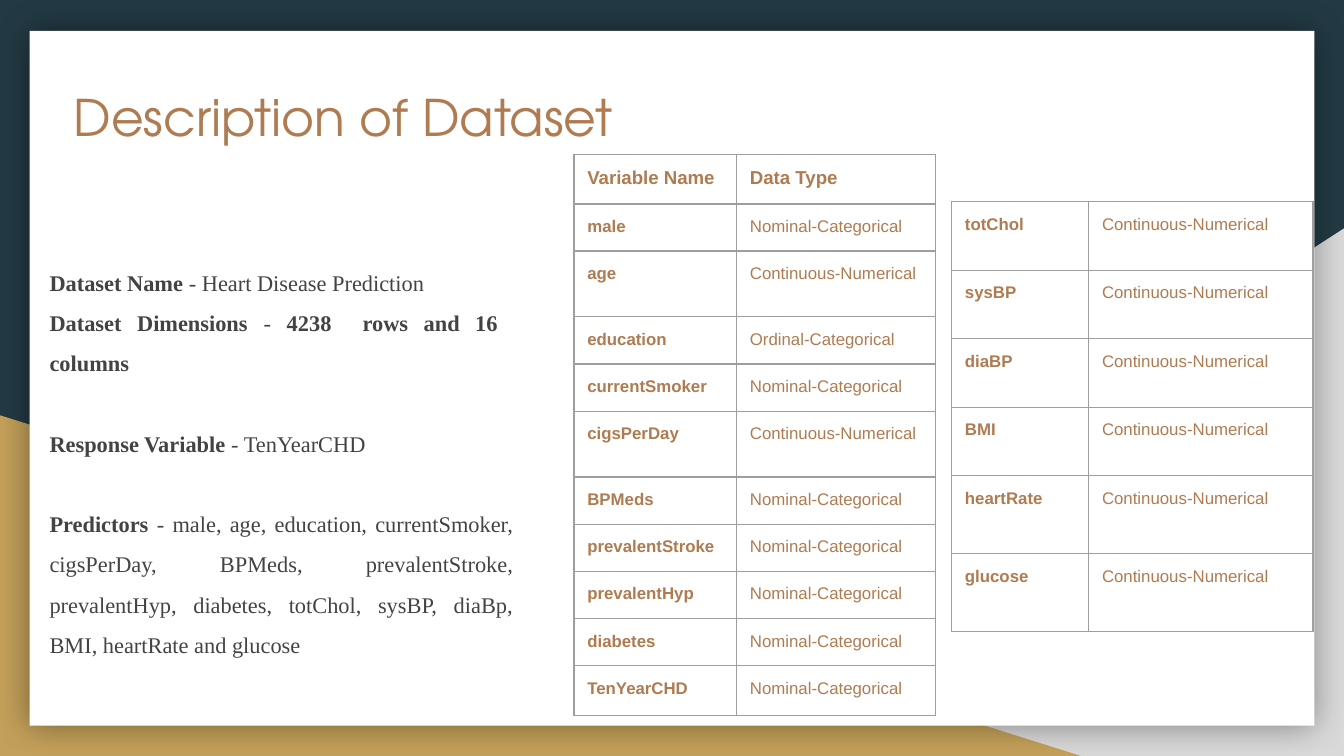
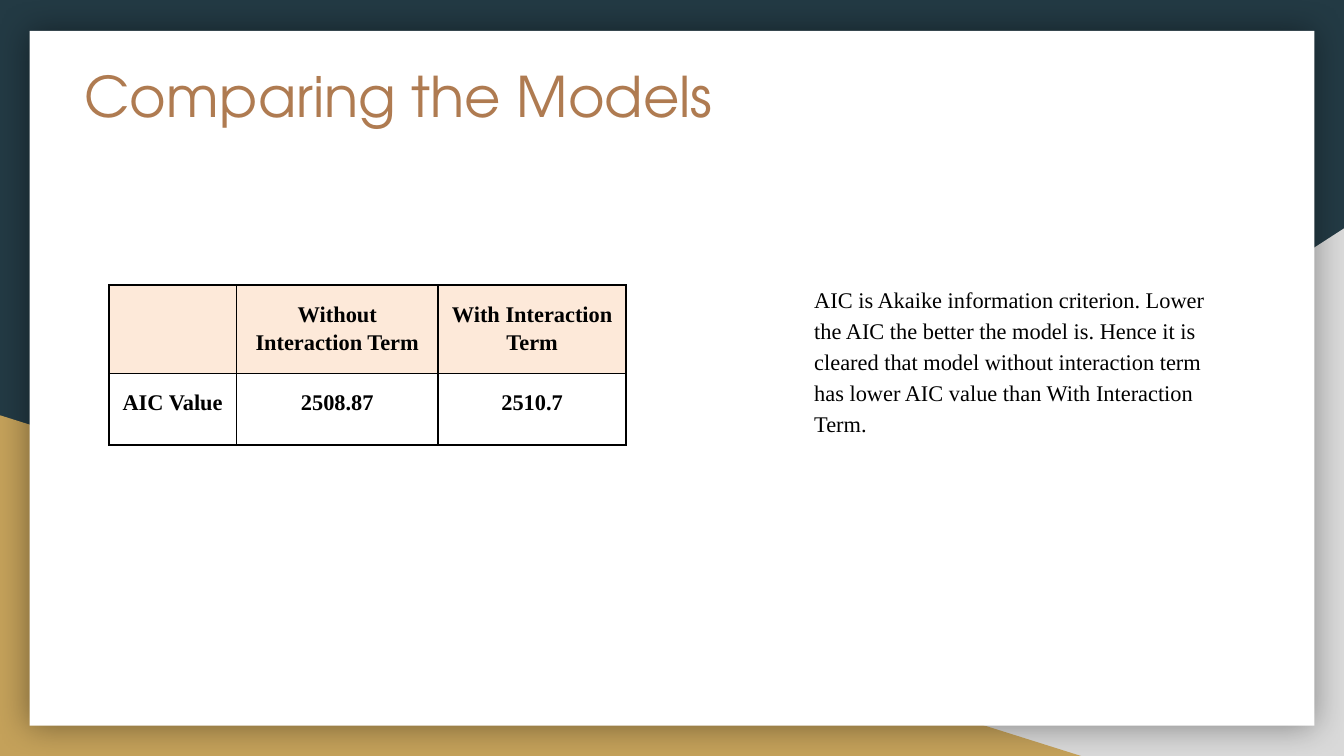
from dataclasses import dataclass
from typing import NamedTuple

from lxml import etree
from pptx import Presentation
from pptx.dml.color import RGBColor
from pptx.enum.shapes import MSO_SHAPE
from pptx.enum.text import MSO_ANCHOR, PP_ALIGN
from pptx.oxml.ns import qn
from pptx.util import Inches, Pt

RECT = MSO_SHAPE.RECTANGLE
WEDGE = MSO_SHAPE.RIGHT_TRIANGLE
TOP = MSO_ANCHOR.TOP
LEFT, CENTER, JUST = PP_ALIGN.LEFT, PP_ALIGN.CENTER, PP_ALIGN.JUSTIFY

NAVY = RGBColor(0x23, 0x3A, 0x44)
SILVER = RGBColor(0xD9, 0xD9, 0xD9)
GOLD = RGBColor(0xC4, 0xA1, 0x5A)
WHITE = RGBColor(0xFF, 0xFF, 0xFF)
BLACK = RGBColor(0, 0, 0)
COPPER = RGBColor(0xAF, 0x7B, 0x51)
SLATE = RGBColor(0x43, 0x43, 0x43)
GRAY = RGBColor(0x9E, 0x9E, 0x9E)
PEACH = RGBColor(0xFD, 0xE9, 0xD9)

HEAD, SANS, SERIF = "TeX Gyre Adventor", "Arial", "Times New Roman"
PAD = 0.1


class Box(NamedTuple):
    left: float
    top: float
    width: float
    height: float

    def inches(self) -> list:
        return [Inches(v) for v in self]


class Run(NamedTuple):
    text: str
    bold: bool = False


class Para(NamedTuple):
    runs: list
    before: float = 0


@dataclass
class Panel:
    kind: int
    box: Box
    fill: RGBColor
    flip: bool = False
    glow: bool = False


@dataclass
class Grid:
    left: float
    top: float
    cols: list
    rows: list
    line: RGBColor
    weight: float
    side: float = PAD


PANELS = [
    Panel(WEDGE, Box(3.92, 1.7, 6.08, 3.93), SILVER, flip=True),
    Panel(WEDGE, Box(0, 3.09, 8.06, 2.54), GOLD),
    Panel(RECT, Box(0.22, 0.23, 9.56, 5.17), WHITE, glow=True),
]


def write(frame, paras: list, *, font: str, size: float, color: RGBColor,
          align=LEFT, spacing: float = 1, before: float = 0, after: float = 0) -> None:
    """Fill a text frame with formatted paragraphs."""
    for i, para in enumerate(paras):
        p = frame.paragraphs[0] if i == 0 else frame.add_paragraph()
        p.alignment, p.line_spacing = align, spacing
        p.space_before, p.space_after = Pt(before + para.before), Pt(after)
        for part in para.runs:
            run = p.add_run()
            run.text = part.text
            run.font.name, run.font.size = font, Pt(size)
            run.font.bold, run.font.color.rgb = part.bold, color


def add_text(slide, box: Box, paras: list, **style) -> None:
    frame = slide.shapes.add_textbox(*box.inches()).text_frame
    frame.word_wrap = True
    frame.vertical_anchor = TOP
    frame.margin_left = frame.margin_right = Inches(PAD)
    frame.margin_top = frame.margin_bottom = Inches(PAD)
    write(frame, paras, **style)


def add_glow(shape) -> None:
    """Put a soft, centred shadow around a shape."""
    effects = shape.element.spPr.find(qn("a:effectLst"))
    shadow = etree.SubElement(effects, qn("a:outerShdw"), blurRad=str(Pt(18)),
                              dist="0", dir="0", algn="ctr", rotWithShape="0")
    tint = etree.SubElement(shadow, qn("a:srgbClr"), val=str(BLACK))
    etree.SubElement(tint, qn("a:alpha"), val="40000")


def add_panel(slide, panel: Panel) -> None:
    shape = slide.shapes.add_shape(panel.kind, *panel.box.inches())
    shape.shadow.inherit = False
    shape.fill.solid()
    shape.fill.fore_color.rgb = panel.fill
    shape.line.fill.background()
    if panel.flip:
        shape.element.spPr.find(qn("a:xfrm")).set("flipH", "1")
    if panel.glow:
        add_glow(shape)


def add_page(deck, title: str, box: Box, size: float):
    """Start a slide with the shared backdrop and title style."""
    slide = deck.slides.add_slide(deck.slide_layouts[6])
    slide.background.fill.solid()
    slide.background.fill.fore_color.rgb = NAVY
    for panel in PANELS:
        add_panel(slide, panel)
    add_text(slide, box, [Para([Run(title)])], font=HEAD, size=size, color=COPPER)
    return slide


def set_edges(cell, color: RGBColor, weight: float) -> None:
    props = cell._tc.get_or_add_tcPr()
    for i, tag in enumerate(("a:lnL", "a:lnR", "a:lnT", "a:lnB")):
        edge = etree.Element(qn(tag), w=str(Pt(weight)))
        fill = etree.SubElement(edge, qn("a:solidFill"))
        etree.SubElement(fill, qn("a:srgbClr"), val=str(color))
        props.insert(i, edge)


def add_grid(slide, grid: Grid):
    """Draw an empty table with plain cells and return it."""
    box = Box(grid.left, grid.top, sum(grid.cols), sum(grid.rows))
    table = slide.shapes.add_table(len(grid.rows), len(grid.cols), *box.inches()).table
    table.first_row = table.horz_banding = False
    for col, width in zip(table.columns, grid.cols):
        col.width = Inches(width)
    for row, height in zip(table.rows, grid.rows):
        row.height = Inches(height)
    for cell in table.iter_cells():
        cell.fill.background()
        cell.vertical_anchor = TOP
        cell.margin_left = cell.margin_right = Inches(grid.side)
        cell.margin_top = cell.margin_bottom = Inches(PAD)
        set_edges(cell, grid.line, grid.weight)
    return table


def add_types(slide, grid: Grid, fields: list, header: bool = False) -> None:
    """List variables with their data types."""
    table = add_grid(slide, grid)
    for r, field in enumerate(fields):
        top = header and r == 0
        for c, text in enumerate(field):
            write(table.cell(r, c).text_frame, [Para([Run(text, c == 0 or top)])],
                  font=SANS, size=10 if top else 9, color=COPPER)


# Dataset slide
NOM, ORD, CONT = "Nominal-Categorical", "Ordinal-Categorical", "Continuous-Numerical"
FIELDS = [
    ("Variable Name", "Data Type"), ("male", NOM), ("age", CONT),
    ("education", ORD), ("currentSmoker", NOM), ("cigsPerDay", CONT),
    ("BPMeds", NOM), ("prevalentStroke", NOM), ("prevalentHyp", NOM),
    ("diabetes", NOM), ("TenYearCHD", NOM),
]
VITALS = [(name, CONT) for name in
          ("totChol", "sysBP", "diaBP", "BMI", "heartRate", "glucose")]
GAP = 21.5
FACTS = [
    Para([Run("Dataset Name", True), Run(" - Heart Disease Prediction")]),
    Para([Run("Dataset Dimensions", True), Run(" - "),
          Run("4238  rows and 16  columns", True)]),
    Para([Run("Response Variable", True), Run(" - TenYearCHD")], GAP),
    Para([Run("Predictors", True),
          Run(" - male, age, education, currentSmoker, cigsPerDay, BPMeds, "
              "prevalentStroke, prevalentHyp, diabetes, totChol, sysBP, diaBp, "
              "BMI, heartRate and glucose")], GAP),
]


def add_dataset(deck) -> None:
    slide = add_page(deck, "Description of Dataset", Box(0.45, 0.54, 4.41, 0.61), 27)
    add_text(slide, Box(0.27, 1.8, 3.65, 3.13), FACTS, font=SERIF, size=12,
             color=SLATE, align=JUST, spacing=1.5)
    rows = [0.49 if kind == CONT else 0.35 for _, kind in FIELDS[1:-1]]
    add_types(slide, Grid(4.27, 1.15, [1.21, 1.48], [0.34, *rows, 0.37], GRAY, 0.75),
              FIELDS, header=True)
    add_types(slide, Grid(7.08, 1.5, [1.02, 1.67], [0.51] * 4 + [0.58] * 2, GRAY, 0.75),
              VITALS)


# Model slide
SCORES = [
    ("", "Without Interaction Term", "With Interaction Term"),
    ("AIC Value", "2508.87", "2510.7"),
]
NOTE = ("AIC is Akaike information criterion. Lower the AIC the better the model is. "
        "Hence it is cleared that model without interaction term has lower AIC value "
        "than With Interaction Term.")


def add_models(deck) -> None:
    slide = add_page(deck, "Comparing the Models", Box(0.53, 0.36, 8.21, 0.8), 30)
    body = dict(font=SERIF, size=12, color=BLACK, spacing=1.15, before=12)
    table = add_grid(slide, Grid(0.81, 2.12, [0.95, 1.5, 1.4], [0.6, 0.53],
                                 BLACK, 1, side=0.07))
    for r, row in enumerate(SCORES):
        for c, text in enumerate(row):
            cell = table.cell(r, c)
            if r == 0:
                cell.fill.solid()
                cell.fill.fore_color.rgb = PEACH
            if text:
                write(cell.text_frame, [Para([Run(text, True)])], align=CENTER, **body)
    add_text(slide, Box(5.96, 2, 3.28, 1.33), [Para([Run(NOTE)])], after=12, **body)


def main() -> None:
    deck = Presentation()
    deck.slide_width = Inches(10)
    deck.slide_height = Inches(10 * 9 / 16)
    add_dataset(deck)
    add_models(deck)
    deck.save("out.pptx")


if __name__ == "__main__":
    main()
